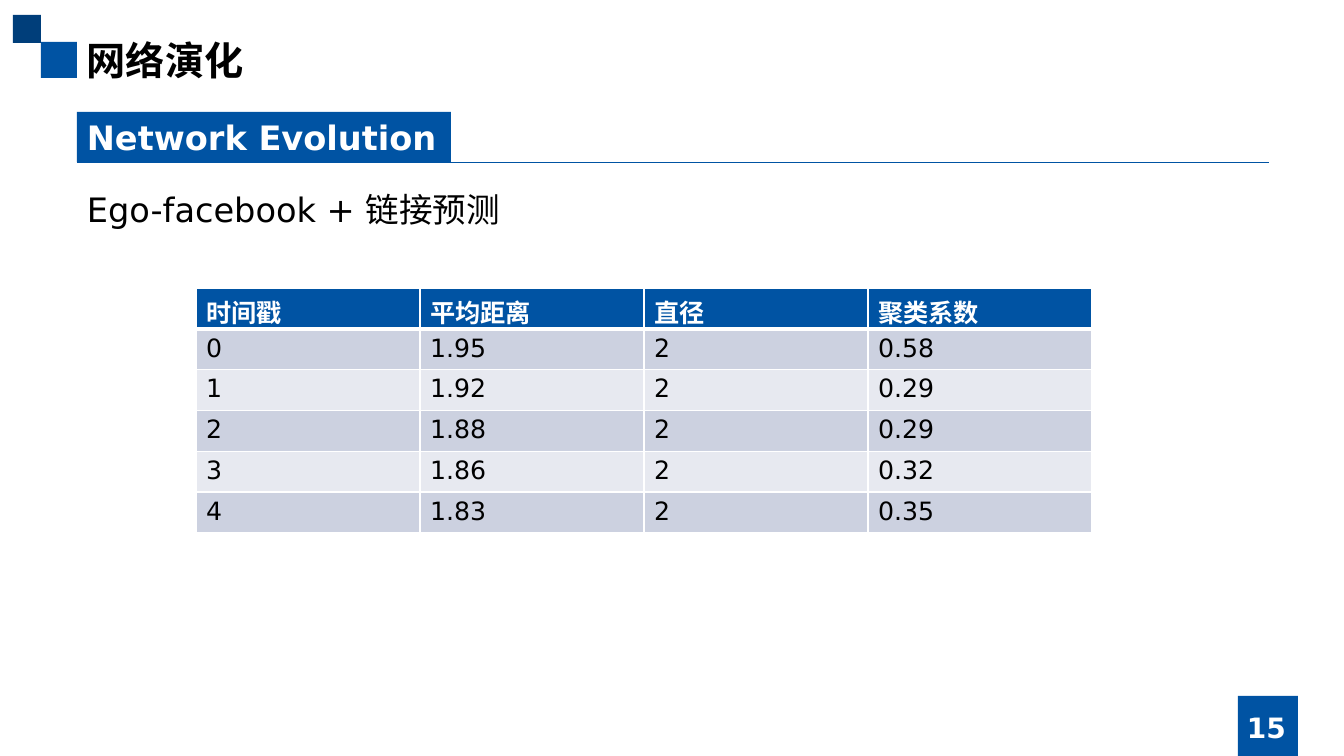
from dataclasses import dataclass

from lxml import etree
from pptx import Presentation
from pptx import util as u
from pptx.dml.color import RGBColor
from pptx.enum import shapes, text
from pptx.oxml import ns

EMU_PER_PX = 914400 / 100.8
BLUE, NAVY, WHITE, BLACK = "0053A3", "003E7A", "FFFFFF", "000000"
BANDS = ("CCD1E0", "E7E9F0")
LATIN, CJK = "DejaVu Sans", "Noto Sans CJK SC"
EVOLUTION = (
    ("时间戳", "平均距离", "直径", "聚类系数"),
    ("0", "1.95", "2", "0.58"),
    ("1", "1.92", "2", "0.29"),
    ("2", "1.88", "2", "0.29"),
    ("3", "1.86", "2", "0.32"),
    ("4", "1.83", "2", "0.35"),
)


@dataclass(frozen=True)
class Box:
    x: int
    y: int
    w: int
    h: int


@dataclass(frozen=True)
class Block:
    box: Box
    fill: str


@dataclass(frozen=True)
class Label:
    box: Box
    words: str
    size: int
    color: str = BLACK
    bold: bool = False
    font: str = LATIN
    centred: bool = False


BLOCKS = (
    Block(Box(41, 42, 36, 36), BLUE),
    Block(Box(13, 15, 28, 28), NAVY),
    Block(Box(1238, 696, 60, 60), BLUE),
    Block(Box(77, 112, 374, 50), BLUE),
)
LABELS = (
    Label(Box(77, 31, 1190, 57), "网络演化", 28, bold=True, font=CJK),
    Label(Box(1190, 707, 153, 40), "15", 20, WHITE, True, centred=True),
    Label(Box(77, 112, 374, 50), "Network Evolution", 24, WHITE, True),
    Label(Box(77, 184, 1192, 336), "Ego-facebook + 链接预测", 24),
)
TABLE = Box(196, 288, 896, 245)


def px(n: float) -> int:
    """Turn pixels into EMU."""
    return round(n * EMU_PER_PX)


def place(box: Box) -> tuple[int, int, int, int]:
    """Give a box as left, top, width and height in EMU."""
    return px(box.x), px(box.y), px(box.w), px(box.h)


def rgb(color: str) -> RGBColor:
    """Turn a hex string into a colour."""
    return RGBColor.from_string(color)


def write(tf, words: str, *, size: int, color: str = BLACK, bold: bool = False,
          font: str = LATIN, centred: bool = False) -> None:
    """Write one formatted line into a text frame."""
    p = tf.paragraphs[0]
    p.alignment = text.PP_ALIGN.CENTER if centred else text.PP_ALIGN.LEFT
    r = p.add_run()
    r.text = words
    r.font.size, r.font.bold, r.font.name = u.Pt(size), bold, font
    r.font.color.rgb = rgb(color)
    etree.SubElement(r.font._element, ns.qn("a:ea"), typeface=CJK)


def add_block(s, block: Block) -> None:
    """Draw a plain filled rectangle."""
    sp = s.shapes.add_shape(shapes.MSO_SHAPE.RECTANGLE, *place(block.box))
    sp.shadow.inherit = False
    sp.fill.solid()
    sp.fill.fore_color.rgb = rgb(block.fill)
    sp.line.fill.background()


def add_label(s, label: Label) -> None:
    """Draw a text box."""
    tf = s.shapes.add_textbox(*place(label.box)).text_frame
    tf.word_wrap = True
    if label.centred:
        tf.vertical_anchor = text.MSO_ANCHOR.MIDDLE
    write(tf, label.words, size=label.size, color=label.color, bold=label.bold,
          font=label.font, centred=label.centred)


def add_rule(s, x1: int, x2: int, y: int) -> None:
    """Draw the thin line under the section heading."""
    line = s.shapes.add_connector(
        shapes.MSO_CONNECTOR.STRAIGHT, px(x1), px(y), px(x2), px(y))
    line.line.color.rgb = rgb(BLUE)
    line.line.width = u.Pt(0.5)
    etree.SubElement(line._element.spPr, ns.qn("a:effectLst"))


def set_border(cell, side: str, width: float) -> None:
    """Put a white border on one side of a cell."""
    ln = etree.Element(ns.qn(f"a:ln{side}"), w=str(u.Pt(width)))
    fill = etree.SubElement(ln, ns.qn("a:solidFill"))
    etree.SubElement(fill, ns.qn("a:srgbClr"), val=WHITE)
    tc_pr = cell._tc.get_or_add_tcPr()
    tc_pr.insert(len(tc_pr.findall("*")) - 1, ln)


def add_table(s, box: Box, rows: tuple[tuple[str, ...], ...]) -> None:
    """Draw the banded table with its header row."""
    table = s.shapes.add_table(len(rows), len(rows[0]), *place(box)).table
    for column in table.columns:
        column.width = px(box.w / len(rows[0]))
    for i, row in enumerate(rows):
        table.rows[i].height = px(box.h / len(rows))
        head = i == 0
        for j, words in enumerate(row):
            cell = table.cell(i, j)
            cell.fill.solid()
            cell.fill.fore_color.rgb = rgb(BLUE if head else BANDS[(i - 1) % 2])
            for side in "LRTB":
                thick = (head and side == "B") or (i == 1 and side == "T")
                set_border(cell, side, 3 if thick else 1)
            write(cell.text_frame, words, size=18, bold=head,
                  color=WHITE if head else BLACK)


def main() -> None:
    """Build the slide and save it."""
    prs = Presentation()
    prs.slide_width, prs.slide_height = px(1344), px(756)
    s = prs.slides.add_slide(prs.slide_layouts[6])
    for block in BLOCKS:
        add_block(s, block)
    add_rule(s, 77, 1269, 162)
    for label in LABELS:
        add_label(s, label)
    add_table(s, TABLE, EVOLUTION)
    prs.save("out.pptx")


if __name__ == "__main__":
    main()
